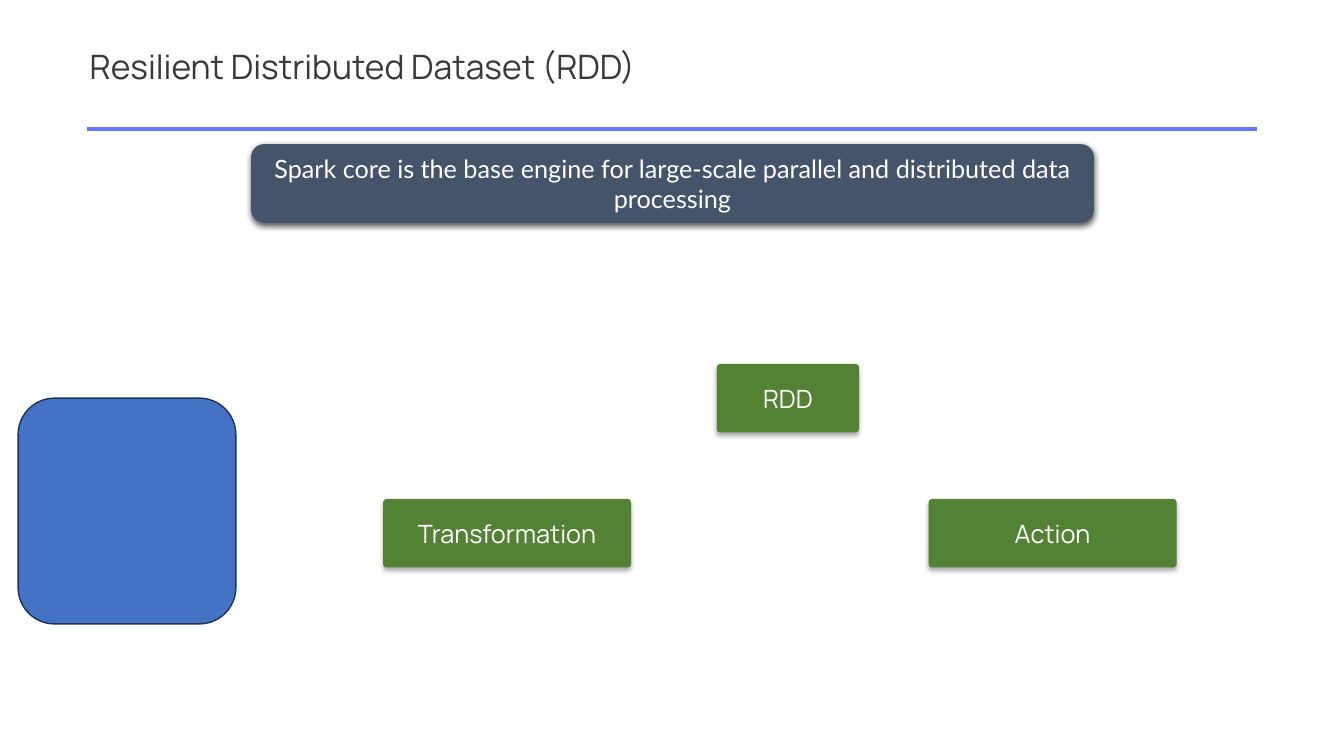
import pptx
import pptx.dml.color
import pptx.enum.shapes
import pptx.enum.text
import pptx.oxml
import pptx.oxml.ns
import pptx.util
from pptx.util import Inches

ALIGN = pptx.enum.text.PP_ALIGN
ANCHOR = pptx.enum.text.MSO_ANCHOR


def color(hex_string):
    return pptx.dml.color.RGBColor.from_string(hex_string)


def write_text(shape, text, size, font, hex_string, align, anchor):
    frame = shape.text_frame
    frame.word_wrap = True
    frame.vertical_anchor = anchor
    paragraph = frame.paragraphs[0]
    paragraph.alignment = align
    run = paragraph.add_run()
    run.text = text
    run.font.size = pptx.util.Pt(size)
    run.font.name = font
    run.font.color.rgb = color(hex_string)
    return paragraph


def add_shadow(shape, opacity, blur, distance):
    """Cast a black shadow straight down; blur and distance are in points."""
    effects = shape._element.spPr.find(pptx.oxml.ns.qn("a:effectLst"))
    effects.append(pptx.oxml.parse_xml(
        f'<a:outerShdw {pptx.oxml.ns.nsdecls("a")} blurRad="{pptx.util.Pt(blur)}" '
        f'dist="{pptx.util.Pt(distance)}" dir="5400000" algn="ctr" rotWithShape="0">'
        f'<a:srgbClr val="000000"><a:alpha val="{opacity * 1000}"/></a:srgbClr>'
        '</a:outerShdw>'))


def add_rounded_box(slide, left, top, width, height, fill, corner=0.167):
    shape = slide.shapes.add_shape(
        pptx.enum.shapes.MSO_SHAPE.ROUNDED_RECTANGLE,
        Inches(left), Inches(top), Inches(width), Inches(height))
    shape.adjustments[0] = corner
    shape.shadow.inherit = False
    shape.fill.solid()
    shape.fill.fore_color.rgb = color(fill)
    shape.line.fill.background()
    return shape


def add_header(slide, left, top, width, height):
    # Rule under the title
    rule_y = Inches(top + height)
    rule = slide.shapes.add_connector(
        pptx.enum.shapes.MSO_CONNECTOR.STRAIGHT,
        Inches(left), rule_y, Inches(left + width), rule_y)
    rule.line.color.rgb = color("6378FF")
    rule.line.width = pptx.util.Pt(2.5)
    rule._element.spPr.append(pptx.oxml.parse_xml(
        f'<a:effectLst {pptx.oxml.ns.nsdecls("a")}/>'))

    # Title
    title = slide.shapes.add_textbox(
        Inches(left - 0.07), Inches(top), Inches(7.28), Inches(0.7))
    paragraph = write_text(title, "Resilient Distributed Dataset (RDD)", 24,
                           "Manrope", "3B3838", ALIGN.LEFT, ANCHOR.BOTTOM)
    paragraph.line_spacing = 0.9


def add_banner(slide, left, top, width, height):
    banner = add_rounded_box(slide, left, top, width, height, "44546A")
    add_shadow(banner, 63, 4.5, 1.5)
    write_text(banner, "Spark core is the base engine for large-scale parallel "
               "and distributed data processing", 18, "Lato", "FFFFFF",
               ALIGN.CENTER, ANCHOR.TOP)


def add_side_block(slide, left, top, width, height):
    block = add_rounded_box(slide, left, top, width, height, "4472C4")
    block.line.color.rgb = color("1E3256")
    block.line.width = pptx.util.Pt(1)


def add_operations(slide, left, top, width, height):
    box_width, box_height = 2.46, 0.68
    lower_top = top + height - box_height
    # Label, left, top, width
    boxes = [
        ("Transformation", left, lower_top, box_width),
        ("Action", left + width - box_width, lower_top, box_width),
        ("RDD", left + 3.31, top, 1.41),
    ]
    for label, box_left, box_top, label_width in boxes:
        box = add_rounded_box(slide, box_left, box_top, label_width,
                              box_height, "548235", 0.053)
        add_shadow(box, 32, 3.5, 2.2)
        write_text(box, label, 18, "Manrope", "FFFFFF",
                   ALIGN.CENTER, ANCHOR.MIDDLE)


def main():
    presentation = pptx.Presentation()
    presentation.slide_width = Inches(13.33)
    presentation.slide_height = Inches(7.5)
    slide = presentation.slides.add_slide(presentation.slide_layouts[6])
    add_header(slide, 0.86, 0.21, 11.61, 1.07)
    add_banner(slide, 2.49, 1.43, 8.36, 0.78)
    add_side_block(slide, 0.18, 3.95, 2.16, 2.24)
    add_operations(slide, 3.8, 3.61, 7.87, 2.02)
    presentation.save("out.pptx")


if __name__ == "__main__":
    main()
